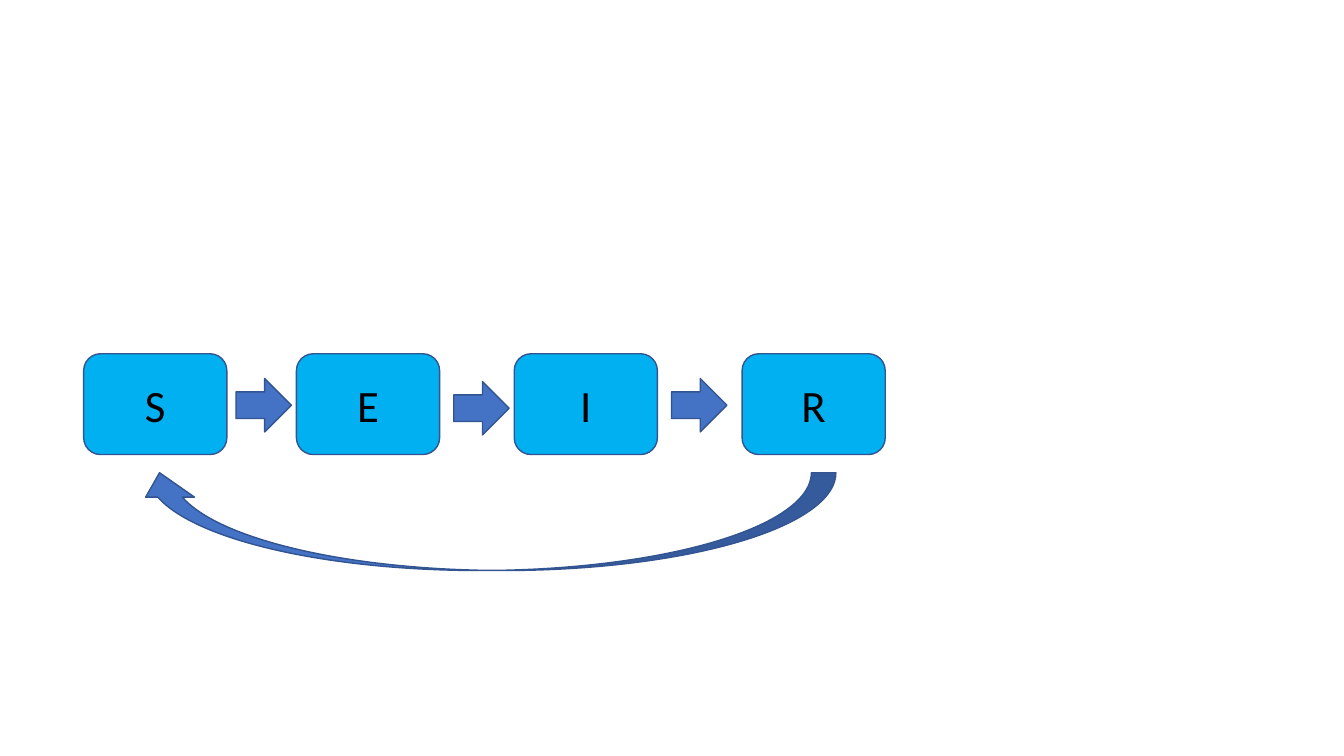
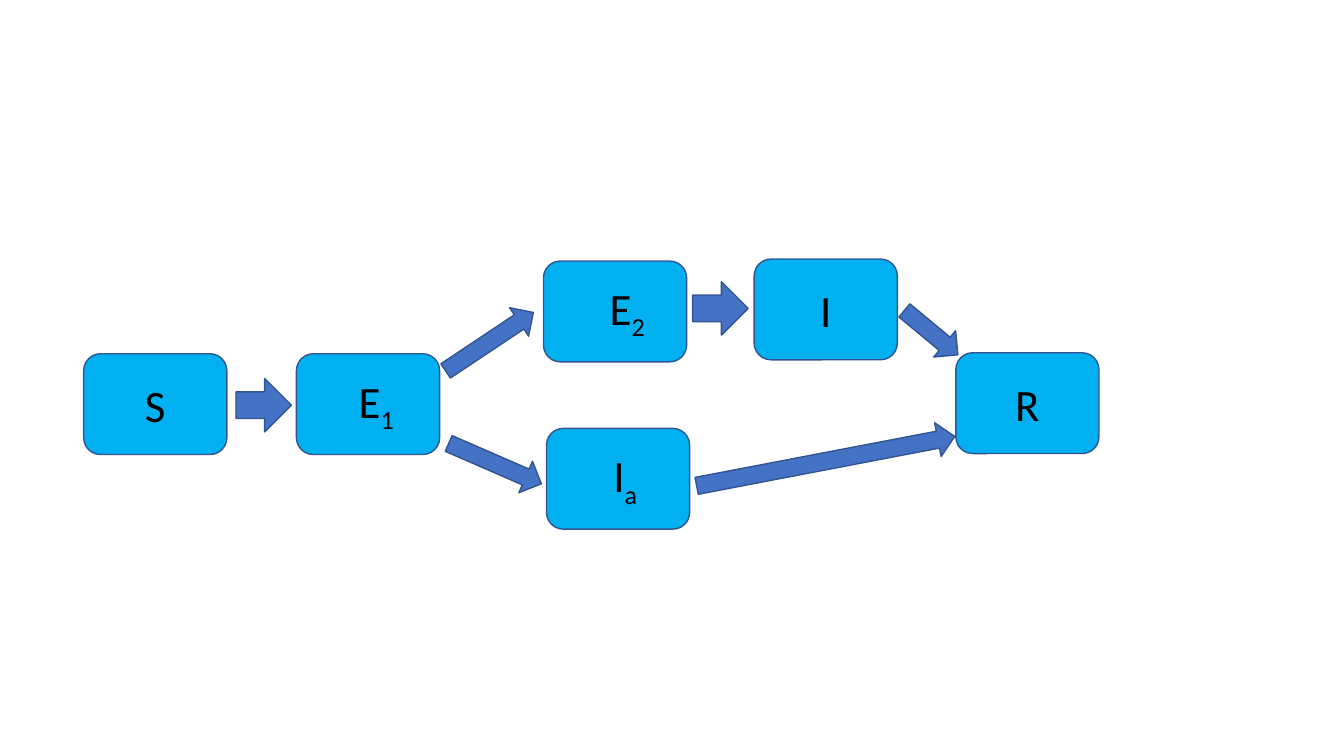
from math import atan2, degrees, hypot

from pptx import Presentation
from pptx.dml.color import RGBColor
from pptx.enum.shapes import MSO_SHAPE as Shape
from pptx.enum.text import MSO_ANCHOR, PP_ALIGN
from pptx.util import Inches, Pt

BOX_BLUE = RGBColor(0x00, 0xB0, 0xF0)
ARROW_BLUE = RGBColor(0x44, 0x72, 0xC4)
OUTLINE = RGBColor(0x32, 0x54, 0x91)
BLACK = RGBColor(0, 0, 0)
FONT, TEXT_SIZE = "Calibri", 32
BOX_WIDTH, BOX_HEIGHT = 1.42, 1.0
WIDE, SLIM = 0.53, 0.34

# Boxes: letter, subscript, left, top, shift of the label to the right
# Arrows: tail, tip, thickness
# Return arrow: left, top, width, height
SUSCEPTIBLE = ("S", "", 0.83, 3.51, 0)
FIRST_ARROW = ((2.34, 4.02), (2.89, 4.02), WIDE)
SLIDES = [
    {
        "boxes": [
            SUSCEPTIBLE,
            ("E", "", 2.94, 3.51, 0),
            ("I", "", 5.1, 3.51, 0),
            ("R", "", 7.36, 3.51, 0),
        ],
        "arrows": [
            FIRST_ARROW,
            ((4.5, 4.05), (5.05, 4.05), WIDE),
            ((6.66, 4.02), (7.21, 4.02), WIDE),
        ],
        "return": (1.34, 4.69, 6.95, 0.97),
    },
    {
        "boxes": [
            SUSCEPTIBLE,
            ("E", "1", 2.94, 3.51, 0.08),
            ("E", "2", 5.39, 2.59, 0.12),
            ("I", "a", 5.42, 4.25, 0.07),
            ("I", "", 7.48, 2.57, 0),
            ("R", "", 9.48, 3.5, 0),
        ],
        "arrows": [
            FIRST_ARROW,
            ((4.42, 3.68), (5.29, 3.1), SLIM),
            ((4.45, 4.4), (5.37, 4.8), SLIM),
            ((6.87, 3.06), (7.42, 3.06), WIDE),
            ((8.97, 3.08), (9.5, 3.52), SLIM),
            ((6.91, 4.82), (9.47, 4.33), SLIM),
        ],
    },
]


def add_styled_shape(slide, kind, left, top, width, height, color):
    shape = slide.shapes.add_shape(
        kind, Inches(left), Inches(top), Inches(width), Inches(height))
    shape.shadow.inherit = False
    shape.fill.solid()
    shape.fill.fore_color.rgb = color
    shape.line.color.rgb = OUTLINE
    shape.line.width = Pt(1)
    return shape


def add_box(slide, letter, subscript, left, top, shift):
    box = add_styled_shape(slide, Shape.ROUNDED_RECTANGLE, left, top,
                           BOX_WIDTH, BOX_HEIGHT, BOX_BLUE)
    frame = box.text_frame
    frame.vertical_anchor = MSO_ANCHOR.MIDDLE
    frame.margin_left = Inches(0.1 + 2 * shift)
    paragraph = frame.paragraphs[0]
    paragraph.alignment = PP_ALIGN.CENTER
    for text in filter(None, (letter, subscript)):
        run = paragraph.add_run()
        run.text = text
        run.font.name = FONT
        run.font.size = Pt(TEXT_SIZE)
        run.font.color.rgb = BLACK
    if subscript:
        run.font._element.set("baseline", "-25000")


def add_arrow(slide, tail, tip, thickness):
    across, down = tip[0] - tail[0], tip[1] - tail[1]
    length = hypot(across, down)
    left = (tail[0] + tip[0] - length) / 2
    top = (tail[1] + tip[1] - thickness) / 2
    arrow = add_styled_shape(slide, Shape.RIGHT_ARROW, left, top,
                             length, thickness, ARROW_BLUE)
    arrow.rotation = degrees(atan2(down, across))


def add_return_arrow(slide, left, top, width, height):
    arrow = add_styled_shape(slide, Shape.CURVED_UP_ARROW, left, top,
                             width, height, ARROW_BLUE)
    arrow._element.spPr.xfrm.set("flipH", "1")


def main():
    presentation = Presentation()
    presentation.slide_width = Inches(13.33)
    presentation.slide_height = Inches(7.5)
    for content in SLIDES:
        slide = presentation.slides.add_slide(presentation.slide_layouts[6])
        for box in content["boxes"]:
            add_box(slide, *box)
        for arrow in content["arrows"]:
            add_arrow(slide, *arrow)
        if "return" in content:
            add_return_arrow(slide, *content["return"])
    presentation.save("out.pptx")


if __name__ == "__main__":
    main()
